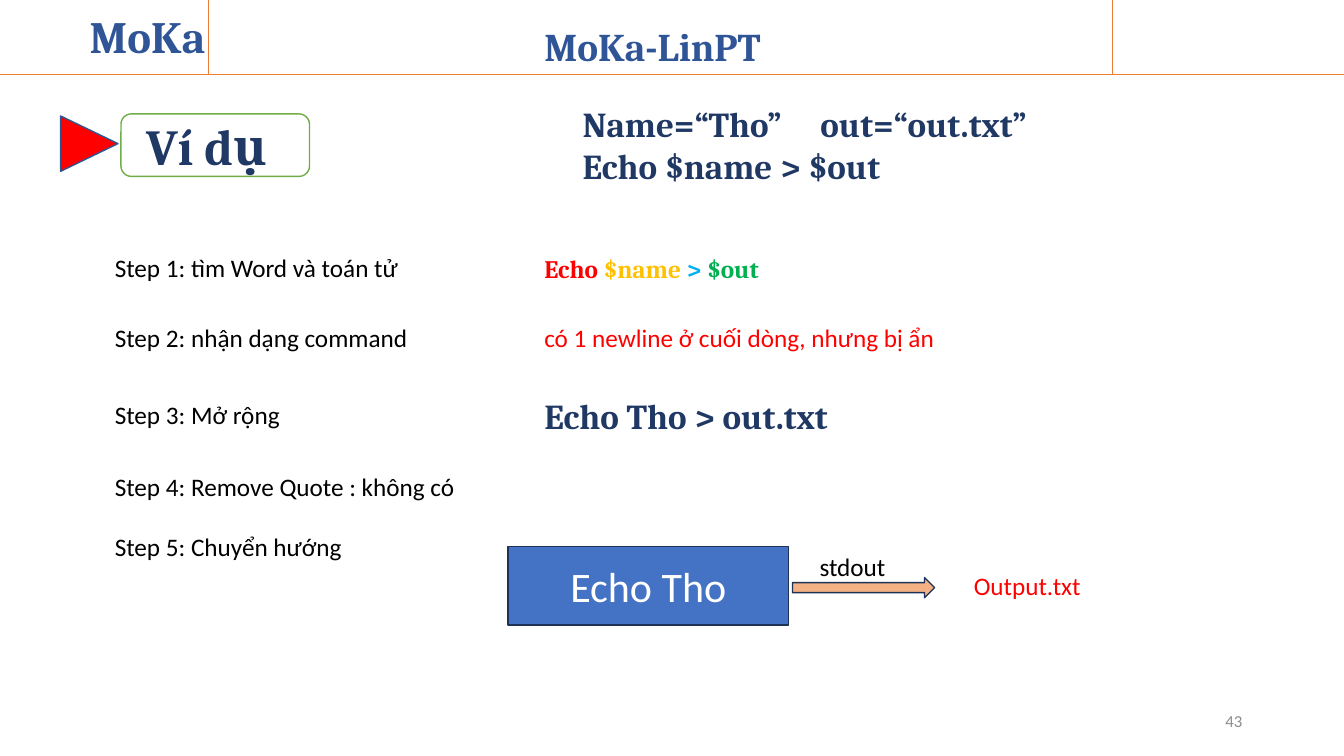
from lxml import etree
from pptx import Presentation
from pptx.dml.color import RGBColor
from pptx.enum.shapes import MSO_CONNECTOR, MSO_SHAPE
from pptx.enum.text import MSO_ANCHOR, MSO_AUTO_SIZE, PP_ALIGN
from pptx.oxml.ns import qn
from pptx.util import Inches, Pt

WIDE, HIGH = 13.33, 7.5
RECT, ROUND = MSO_SHAPE.RECTANGLE, MSO_SHAPE.ROUNDED_RECTANGLE
ARROW, WEDGE = MSO_SHAPE.RIGHT_ARROW, MSO_SHAPE.ISOSCELES_TRIANGLE
LEFT, MID, RIGHT = PP_ALIGN.LEFT, PP_ALIGN.CENTER, PP_ALIGN.RIGHT
TOP, CENTER = MSO_ANCHOR.TOP, MSO_ANCHOR.MIDDLE
GROW, FIXED = MSO_AUTO_SIZE.SHAPE_TO_FIT_TEXT, MSO_AUTO_SIZE.NONE
SANS, SERIF = "Calibri", "Cambria"
BLACK, WHITE, RED = "000000", "FFFFFF", "FF0000"
BLUE, NAVY, ORANGE, EDGE = "2F5597", "203864", "ED7D31", "1E3256"


def color(code):
    return RGBColor.from_string(code)


def write(shape, lines, size=18, font=SANS, ink=BLACK, bold=False,
          align=LEFT, anchor=TOP, fit=GROW):
    """Fill a shape; each line is a string or a list of (text, colour) runs."""
    frame = shape.text_frame
    frame.word_wrap = True
    frame.auto_size = fit
    frame.vertical_anchor = anchor
    for row, line in enumerate(lines):
        para = frame.add_paragraph() if row else frame.paragraphs[0]
        para.alignment = align
        for text, tint in [(line, ink)] if isinstance(line, str) else line:
            run = para.add_run()
            run.text = text
            run.font.size = Pt(size)
            run.font.name = font
            run.font.bold = bold
            run.font.color.rgb = color(tint)
    return shape


def place(shape, x, y, w, h):
    shape.left, shape.top = Inches(x), Inches(y)
    shape.width, shape.height = Inches(w), Inches(h)


def label(slide, x, y, w, h, *lines, **style):
    box = slide.shapes.add_textbox(Inches(x), Inches(y), Inches(w), Inches(h))
    return write(box, lines, **style)


def block(slide, kind, x, y, w, h, fill, edge):
    shape = slide.shapes.add_shape(
        kind, Inches(x), Inches(y), Inches(w), Inches(h))
    shape.shadow.inherit = False
    shape.fill.solid()
    shape.fill.fore_color.rgb = color(fill)
    shape.line.color.rgb = color(edge)
    shape.line.width = Pt(1)
    return shape


def rule(slide, x, y, to_x, to_y):
    line = slide.shapes.add_connector(
        MSO_CONNECTOR.STRAIGHT,
        Inches(x), Inches(y), Inches(to_x), Inches(to_y))
    line.line.color.rgb = color(ORANGE)
    line.line.width = Pt(0.5)
    etree.SubElement(line.element.spPr, qn("a:effectLst"))


def header(slide, x, y, w, h):
    rule(slide, x, y + h, x + w, y + h)
    for edge in (2.07, 11.03):
        rule(slide, x + edge, y, x + edge, y + h)
    style = dict(font=SERIF, ink=BLUE, bold=True)
    label(slide, x + 0.79, y + 0.04, 1.54, 0.64, "MoKa", size=32, **style)
    label(slide, x + 5.3, y + 0.17, 2.73, 0.57, "MoKa-LinPT", size=28, **style)


def heading(slide, x, y, w, h):
    plate = block(slide, ROUND, x + 0.59, y, w, h, WHITE, "70AD47")
    title = slide.shapes.title
    place(title, x + 0.74, y - 0.04, w, h + 0.09)
    write(title, ["Ví dụ"], size=36, font=SERIF, ink=NAVY, bold=True, fit=FIXED)
    plate.element.addnext(title.element)
    mark = block(slide, WEDGE, x, y + 0.01, 0.55, 0.57, RED, "325491")
    mark.rotation = 90


def code(slide, x, y, w, h, *lines):
    return label(slide, x, y, w, h, *lines,
                 size=25, font=SERIF, ink=NAVY, bold=True)


def source(slide, x, y, w, h):
    box = code(slide, x, y, w, h,
               "Name=“Tho”\tout=“out.txt”", "Echo $name > $out")
    props = box.text_frame.paragraphs[0]._p.get_or_add_pPr()
    tabs = etree.SubElement(props, qn("a:tabLst"))
    etree.SubElement(tabs, qn("a:tab"), pos=str(Inches(2.36)), algn="l")


def steps(slide, x, y, w, h):
    names = [
        (0, "Step 1: tìm Word và toán tử"),
        (0.7, "Step 2: nhận dạng command"),
        (1.46, "Step 3: Mở rộng"),
        (2.18, "Step 4: Remove Quote : không có"),
        (2.77, "Step 5: Chuyển hướng"),
    ]
    for drop, name in names:
        label(slide, x, y + drop, w, h, name)
    notes = x + 4.26
    words = [("Echo ", RED), ("$name ", "FFC000"),
             ("> ", "00B0F0"), ("$out", "00B050")]
    label(slide, notes, y + 0.01, 6.67, h, words, font=SERIF, bold=True)
    label(slide, notes, y + 0.7, 4.65, h,
          "có 1 newline ở cuối dòng, nhưng bị ẩn", ink=RED)
    code(slide, notes, y + 1.41, 5.23, 0.52, "Echo Tho > out.txt")


def flow(slide, x, y, w, h):
    task = block(slide, RECT, x, y, w, h, "4472C4", EDGE)
    write(task, ["Echo Tho"], size=30, ink=WHITE,
          align=MID, anchor=CENTER, fit=FIXED)
    block(slide, ARROW, x + w + 0.04, y + 0.31, 1.41, 0.2, "F4B183", EDGE)
    label(slide, x + w + 0.21, y, 1, 0.4, "stdout")
    label(slide, x + w + 1.74, y + 0.19, 2.27, 0.4, "Output.txt", ink=RED)


def footer(slide, x, y, w, h):
    label(slide, x, y, w, h, "43", size=12, ink="8C8C8C",
          align=RIGHT, anchor=CENTER, fit=FIXED)


def main():
    deck = Presentation()
    deck.slide_width, deck.slide_height = Inches(WIDE), Inches(HIGH)
    slide = deck.slides.add_slide(deck.slide_layouts.get_by_name("Title Only"))
    header(slide, 0, 0, WIDE, 0.74)
    heading(slide, 0.61, 1.13, 1.87, 0.62)
    source(slide, 5.68, 0.97, 5.23, 0.94)
    steps(slide, 1.04, 2.45, 4.2, 0.4)
    flow(slide, 5.04, 5.42, 2.78, 0.78)
    footer(slide, 9.42, 6.95, 3, 0.4)
    deck.save("out.pptx")


if __name__ == "__main__":
    main()
